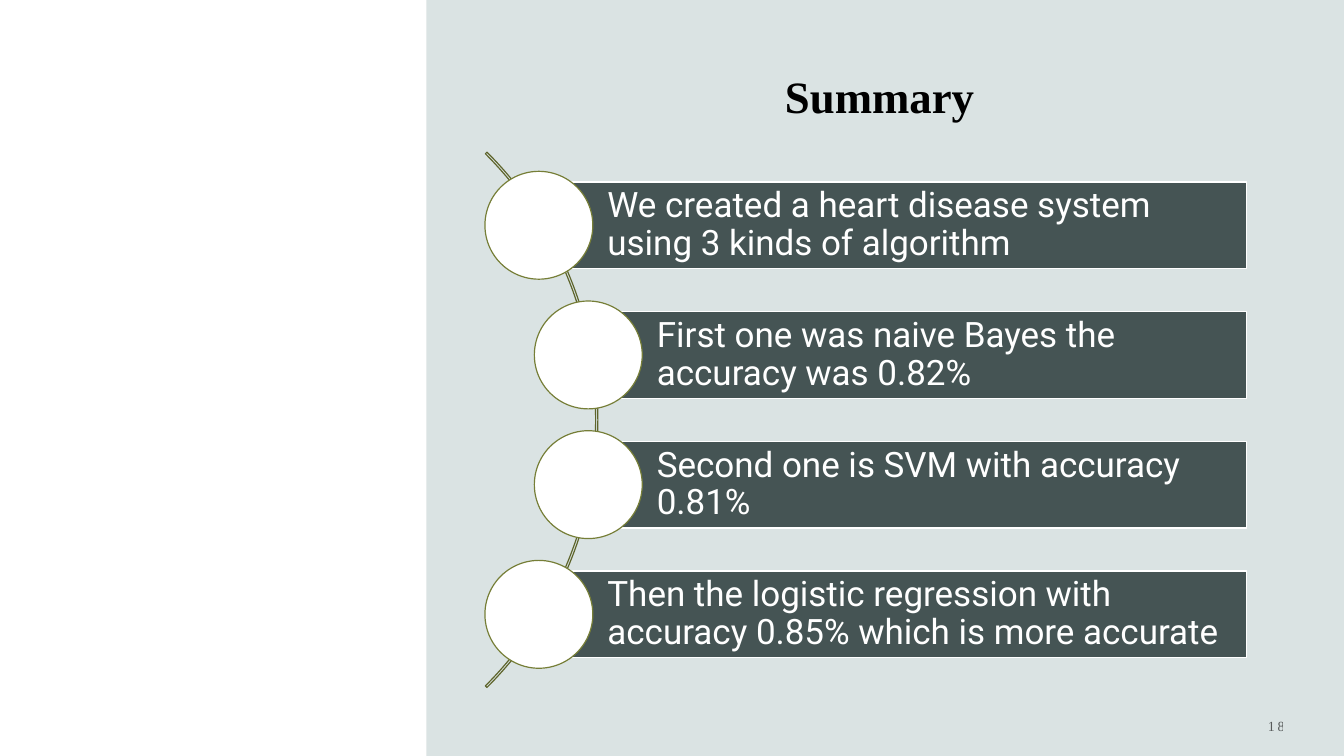
from dataclasses import dataclass

from lxml import etree
from pptx import Presentation
from pptx.dml.color import RGBColor
from pptx.enum.shapes import MSO_SHAPE as SHAPE
from pptx.enum.text import MSO_ANCHOR as ANCHOR, PP_ALIGN as ALIGN
from pptx.oxml.ns import qn
from pptx.util import Inches, Pt


@dataclass(frozen=True)
class Theme:
    background: str = "DAE3E3"
    white: str = "FFFFFF"
    black: str = "000000"
    bar: str = "455454"
    ring: str = "767E37"
    arc: str = "5E652C"
    heading_font: str = "Times New Roman"
    body_font: str = "Roboto"
    title_size: float = 32
    body_size: float = 25
    number_size: float = 10
    line_width: float = 0.85


THEME = Theme()
POINTS = [
    "We created a heart disease system using 3 kinds of algorithm",
    "First one was naive Bayes the accuracy was 0.82%",
    "Second one is SVM with accuracy 0.81%",
    "Then the logistic regression with accuracy 0.85% which is more accurate",
]


def add_panel(slide, kind, box, fill=None, line=None):
    sp = slide.shapes.add_shape(kind, *map(Inches, box))
    sp.shadow.inherit = False
    if fill:
        sp.fill.solid()
        sp.fill.fore_color.rgb = RGBColor.from_string(fill)
    else:
        sp.fill.background()
    if line:
        sp.line.color.rgb = RGBColor.from_string(line)
        sp.line.width = Pt(THEME.line_width)
    else:
        sp.line.fill.background()
    return sp


def write_text(sp, text, *, size, font, color, bold=False, align=ALIGN.LEFT,
               anchor=ANCHOR.MIDDLE, insets=(0.1, 0.05, 0.1, 0.05), spacing=1.0):
    """Fill a shape with one paragraph; insets run left, top, right, bottom."""
    tf = sp.text_frame
    tf.word_wrap = True
    tf.vertical_anchor = anchor
    tf.margin_left, tf.margin_top, tf.margin_right, tf.margin_bottom = map(Inches, insets)
    p = tf.paragraphs[0]
    p.alignment = align
    p.line_spacing = spacing
    r = p.add_run()
    r.text = text
    r.font.size = Pt(size)
    r.font.name = font
    r.font.bold = bold
    r.font.color.rgb = RGBColor.from_string(color)
    return r


def add_title(slide, box, text):
    sp = slide.shapes.add_textbox(*map(Inches, box))
    write_text(sp, text, size=THEME.title_size, font=THEME.heading_font,
               color=THEME.black, bold=True, align=ALIGN.CENTER, anchor=ANCHOR.BOTTOM)


def add_curved_list(slide, box, points):
    """Place bars with circles along an arc, the inner rows indented."""
    left, top, width, height = box
    circle, bar_height, indent = 1.07, 0.86, 0.49
    arc_size, arc_bulge = 7.51, 1.12
    pitch = (height - circle) / (len(points) - 1)

    arc_box = (left + arc_bulge - arc_size, top + (height - arc_size) / 2, arc_size, arc_size)
    arc = add_panel(slide, SHAPE.BLOCK_ARC, arc_box, line=THEME.arc)
    for i, value in enumerate((189, 27, 0.003)):
        arc.adjustments[i] = value

    for i, text in enumerate(points):
        x = left + (indent if 0 < i < len(points) - 1 else 0)
        y = top + i * pitch
        bar_left = x + circle / 2
        bar_box = (bar_left, y + (circle - bar_height) / 2, left + width - bar_left, bar_height)
        bar = add_panel(slide, SHAPE.RECTANGLE, bar_box, THEME.bar, THEME.white)
        write_text(bar, text, size=THEME.body_size, font=THEME.body_font,
                   color=THEME.white, insets=(0.68, 0.07, 0.07, 0.07), spacing=0.9)
        add_panel(slide, SHAPE.OVAL, (x, y, circle, circle), THEME.white, THEME.ring)


def add_slide_number(slide, box, number):
    sp = slide.shapes.add_textbox(*map(Inches, box))
    r = write_text(sp, number, size=THEME.number_size, font=THEME.heading_font,
                   color=THEME.black, align=ALIGN.RIGHT)
    props = r.font._element
    props.set("spc", "200")
    color = props.find(".//" + qn("a:srgbClr"))
    etree.SubElement(color, qn("a:alpha")).set("val", "60000")


def build_summary(prs):
    slide = prs.slides.add_slide(prs.slide_layouts[6])
    fill = slide.background.fill
    fill.solid()
    fill.fore_color.rgb = RGBColor.from_string(THEME.background)
    add_panel(slide, SHAPE.RECTANGLE, (0, 0, 4.23, 7.5), THEME.white)
    add_title(slide, (4.72, -0.05, 8.12, 1.31), "Summary ")
    add_curved_list(slide, (4.81, 1.7, 7.55, 4.93), POINTS)
    add_slide_number(slide, (10.92, 6.95, 1.92, 0.5), "18")


def main():
    prs = Presentation()
    prs.slide_width, prs.slide_height = Inches(13.33), Inches(7.5)
    build_summary(prs)
    prs.save("out.pptx")


if __name__ == "__main__":
    main()
